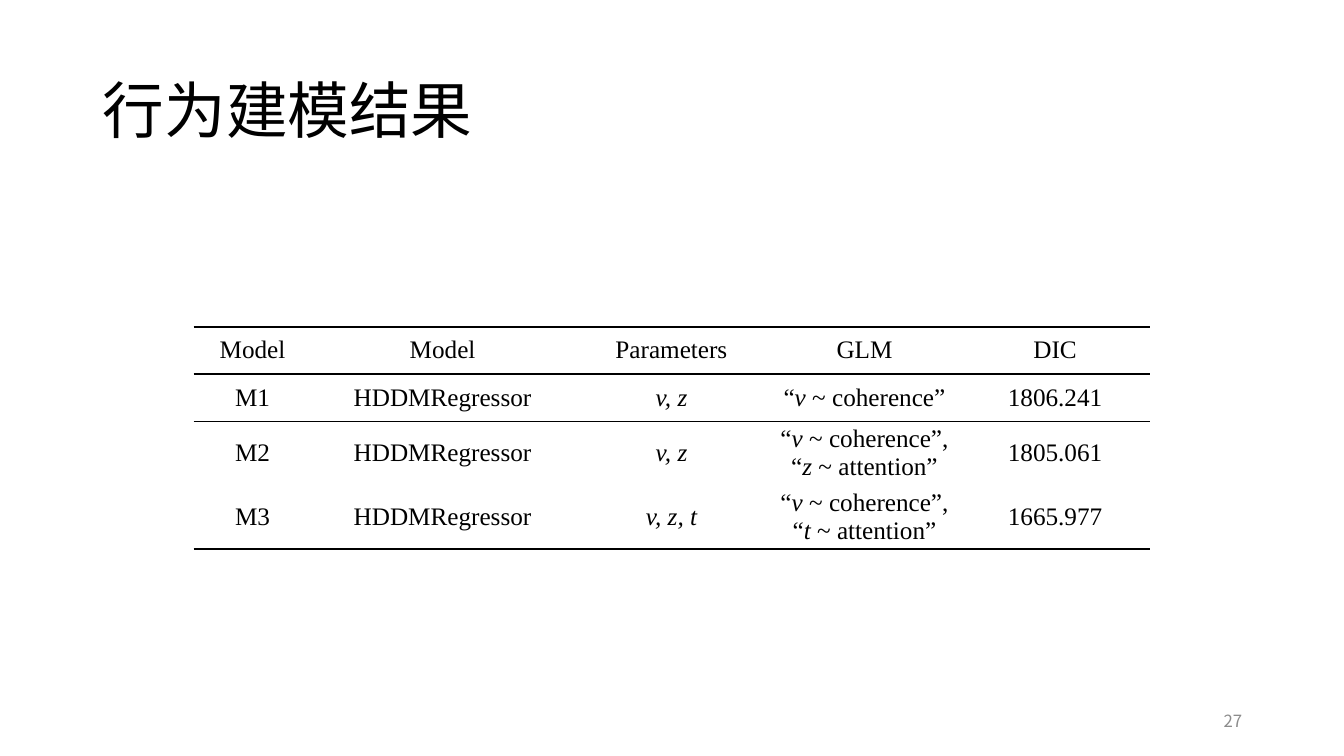
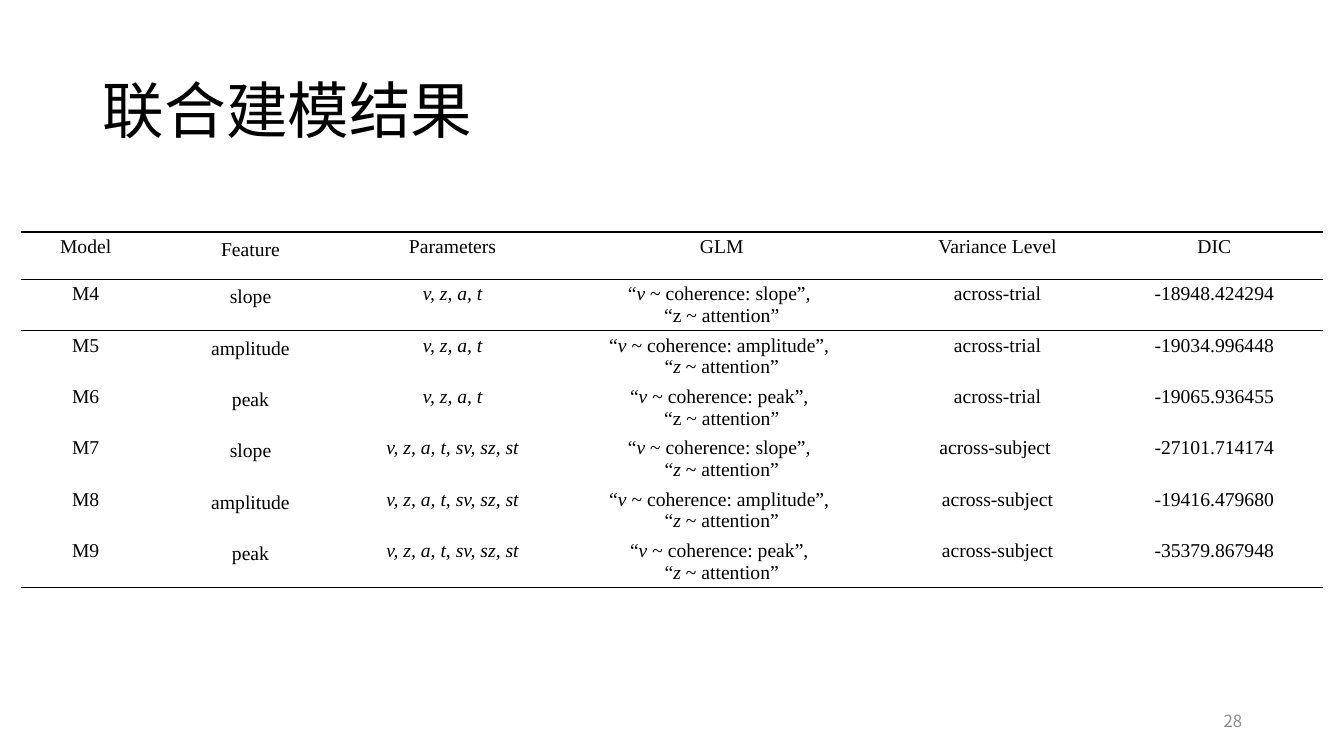
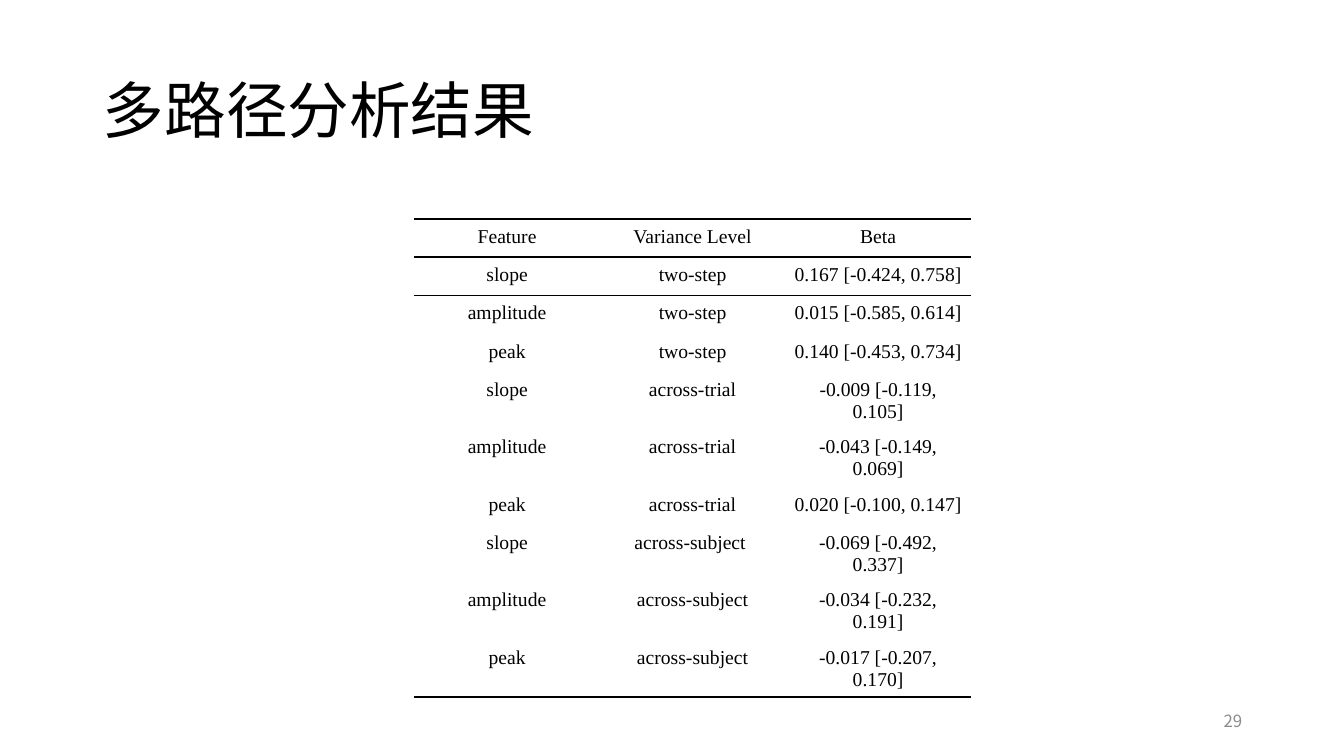
from dataclasses import dataclass

from lxml.etree import SubElement as Sub
from pptx import Presentation
from pptx.dml.color import RGBColor as Rgb
from pptx.enum.text import MSO_ANCHOR as Anchor, PP_ALIGN as Align
from pptx.oxml.ns import qn
from pptx.util import Inches, Pt

SANS = "Noto Sans CJK SC"
SERIF = "Times New Roman"
BLACK = "000000"
GREY = "8C8C8C"
PLAIN = "{2D5ABB26-0587-4C30-8999-92F81FD0307C}"
THIN, THICK = 1, 1.5


@dataclass
class Grid:
    title: str
    left: float
    top: float
    cols: list[float]
    pads: list[float]
    high: float
    size: int
    rows: list[list[str]]
    anchor: Anchor = Anchor.TOP


def style(para, size: float, name: str, tint: str, align: Align) -> None:
    para.alignment = align
    font = para.font
    font.size, font.name = Pt(size), name
    font.color.rgb = Rgb.from_string(tint)
    Sub(para._p.pPr.find(qn("a:defRPr")), qn("a:ea"), typeface=name)


def rule(cell, side: str, width: float) -> None:
    line = Sub(cell._tc.get_or_add_tcPr(), qn(f"a:{side}"), w=str(Pt(width)))
    Sub(Sub(line, qn("a:solidFill")), qn("a:srgbClr"), val=BLACK)


def write(cell, text: str, size: int) -> None:
    frame = cell.text_frame
    for i, line in enumerate(text.split("\n")):
        para = frame.add_paragraph() if i else frame.paragraphs[0]
        for j, part in enumerate(line.split("*")):
            if part:
                run = para.add_run()
                run.text = part
                if j % 2:
                    run.font.italic = True
        style(para, size, SERIF, BLACK, Align.CENTER)


def draw_grid(slide, grid: Grid) -> None:
    count = len(grid.rows)
    table = slide.shapes.add_table(
        count, len(grid.cols), Inches(grid.left), Inches(grid.top),
        Inches(sum(grid.cols)), Inches(grid.high * count)).table
    table.first_row = table.horz_banding = False
    table._tbl.tblPr.find(qn("a:tableStyleId")).text = PLAIN
    for col, width in zip(table.columns, grid.cols):
        col.width = Inches(width)
    for r, row in enumerate(grid.rows):
        table.rows[r].height = Inches(grid.high)
        for c, (text, pad) in enumerate(zip(row, grid.pads)):
            cell = table.cell(r, c)
            cell.margin_left = cell.margin_right = Inches(pad)
            cell.margin_top = cell.margin_bottom = Inches(pad)
            cell.vertical_anchor = grid.anchor
            if r < 2:
                rule(cell, "lnT", THIN if r else THICK)
            if r == 0:
                rule(cell, "lnB", THIN)
            elif r == count - 1:
                rule(cell, "lnB", THICK)
            cell.fill.background()
            write(cell, text, grid.size)


def draw_title(slide, text: str) -> None:
    title = slide.shapes.title
    title.left, title.top = Inches(0.92), Inches(0.4)
    title.width, title.height = Inches(11.5), Inches(1.45)
    frame = title.text_frame
    frame.text = text
    frame.vertical_anchor = Anchor.MIDDLE
    para = frame.paragraphs[0]
    para.line_spacing = 0.9
    style(para, 44, SANS, BLACK, Align.LEFT)


def draw_page(slide, num: int) -> None:
    box = slide.shapes.add_textbox(
        Inches(9.42), Inches(6.95), Inches(3), Inches(0.4))
    frame = box.text_frame
    frame.word_wrap = True
    frame.vertical_anchor = Anchor.MIDDLE
    frame.text = str(num)
    style(frame.paragraphs[0], 12, SANS, GREY, Align.RIGHT)


def glm(kind: str, bias: str = "*z*") -> str:
    return f"“*v* ~ coherence: {kind}”, \n“{bias} ~ attention”"


BASE = "*v, z, a, t*"
FULL = "*v, z, a, t, sv, sz, st*"
REG = "HDDMRegressor"

GRIDS = [
    Grid("行为建模结果", 1.92, 3.24, [1.17, 2.6, 1.94, 1.89, 1.89],
         [0.04] * 5, 0.47, 18, [
             ["Model", "Model", "Parameters", "GLM", "DIC"],
             ["M1", REG, "*v, z*", "“*v* ~ coherence”", "1806.241"],
             ["M2", REG, "*v, z*",
              "“*v* ~ coherence”, “*z* ~ attention”", "1805.061"],
             ["M3", REG, "*v, z, t*",
              "“*v* ~ coherence”, “*t* ~ attention”", "1665.977"],
         ], Anchor.MIDDLE),
    Grid("联合建模结果", 0.21, 2.3, [1.28, 1.99, 2.02, 3.32, 2.15, 2.15],
         [0.04, 0.07] + [0.04] * 4, 0.47, 14, [
             ["Model", "Feature", "Parameters", "GLM", "Variance Level",
              "DIC"],
             ["M4", "slope", BASE, glm("slope", "z"), "across-trial",
              "-18948.424294"],
             ["M5", "amplitude", BASE, glm("amplitude"), "across-trial",
              "-19034.996448"],
             ["M6", "peak", BASE, glm("peak", "z"), "across-trial",
              "-19065.936455"],
             ["M7", "slope", FULL, glm("slope"), "across-subject ",
              "-27101.714174"],
             ["M8", "amplitude", FULL, glm("amplitude"), "across-subject",
              "-19416.479680"],
             ["M9", "peak", FULL, glm("peak"), "across-subject",
              "-35379.867948"],
         ]),
    Grid("多路径分析结果", 4.11, 2.17, [1.84] * 3, [0.07] * 3, 0.38, 14, [
        ["Feature", "Variance Level", "Beta"],
        ["slope", "two-step", "0.167 [-0.424, 0.758]"],
        ["amplitude", "two-step", "0.015 [-0.585, 0.614]"],
        ["peak", "two-step", "0.140 [-0.453, 0.734]"],
        ["slope", "across-trial", "-0.009 [-0.119, 0.105]"],
        ["amplitude", "across-trial", "-0.043 [-0.149, 0.069]"],
        ["peak", "across-trial", "0.020 [-0.100, 0.147]"],
        ["slope", "across-subject ", "-0.069 [-0.492, 0.337]"],
        ["amplitude", "across-subject", "-0.034 [-0.232, 0.191]"],
        ["peak", "across-subject", "-0.017 [-0.207, 0.170]"],
    ]),
]


def main() -> None:
    deck = Presentation()
    deck.slide_width, deck.slide_height = Inches(13.33), Inches(7.5)
    for num, grid in enumerate(GRIDS, 27):
        slide = deck.slides.add_slide(deck.slide_layouts[5])
        draw_grid(slide, grid)
        draw_title(slide, grid.title)
        draw_page(slide, num)
    deck.save("out.pptx")


if __name__ == "__main__":
    main()
